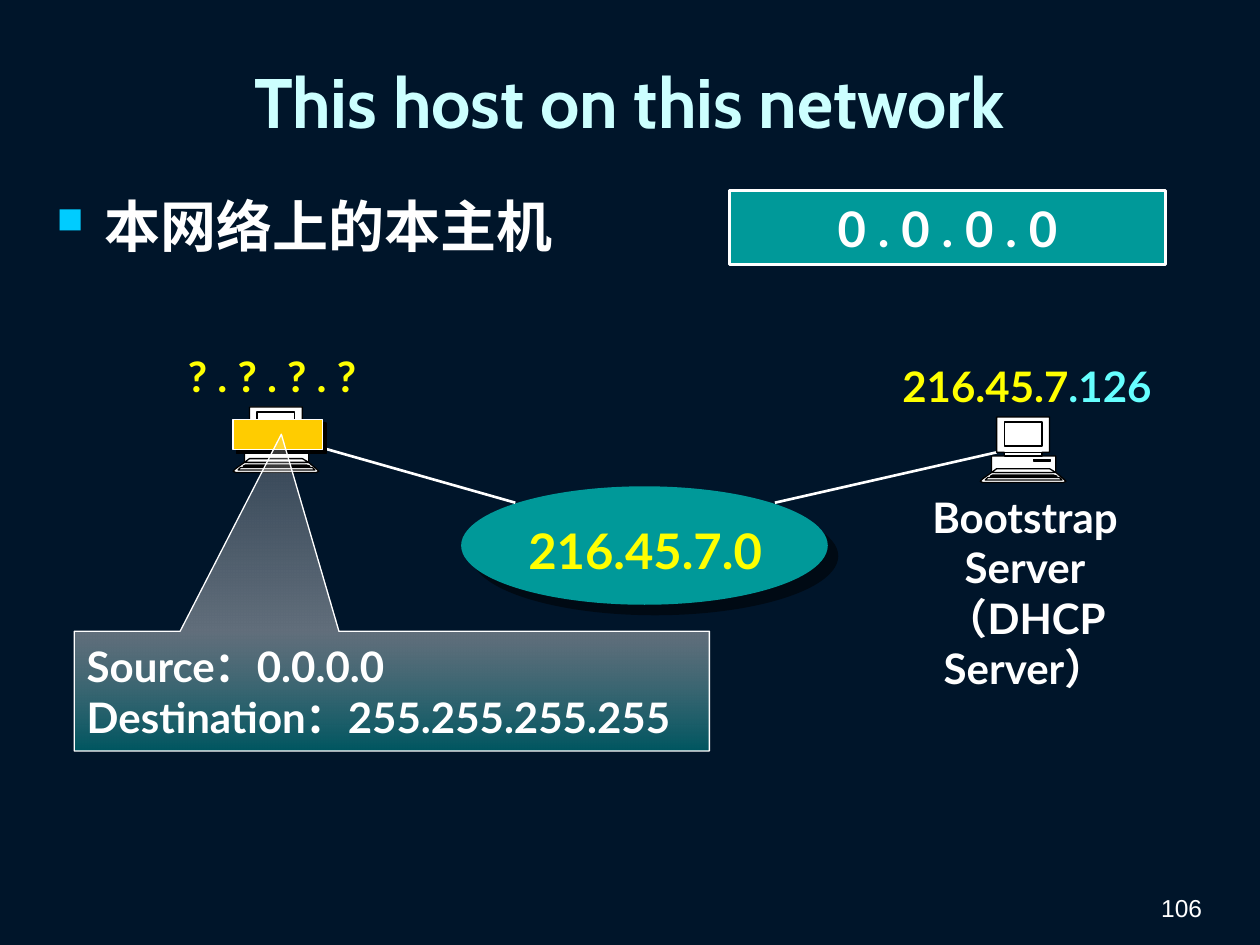
from copy import deepcopy
from lxml.etree import SubElement
from pptx import Presentation
from pptx.dml.color import RGBColor
from pptx.enum.shapes import MSO_CONNECTOR, MSO_SHAPE
from pptx.enum.text import MSO_ANCHOR, PP_ALIGN
from pptx.oxml.ns import qn
from pptx.util import Inches, Pt

COLORS = {"navy": "00152A", "ice": "CCFFFF", "white": "FFFFFF", "black": "000000",
          "teal": "009999", "yellow": "FFFF00", "aqua": "66FFFF", "sky": "00CCFF",
          "gold": "FFCC00"}
LEFT, CENTER, RIGHT = PP_ALIGN.LEFT, PP_ALIGN.CENTER, PP_ALIGN.RIGHT
TOP, MIDDLE, BOTTOM = MSO_ANCHOR.TOP, MSO_ANCHOR.MIDDLE, MSO_ANCHOR.BOTTOM

TITLE = [[("This host on this network", "ice")]]
TOPIC = [[("本网络上的本主机", "white")]]
ADDRESS = [[("0 . 0 . 0 . 0", "white")]]
NETWORK = [[("216.45.7.0", "yellow")]]
PACKET = [[("Source：0.0.0.0", "white")], [("Destination：255.255.255.255", "white")]]
LABELS = [
    ((0.98, 2.73, 2.36, 0.5), [[("? . ? . ? . ?", "yellow")]], 24),
    ((3.9, 4.08, 2.44, 0.57), NETWORK, 28),
    ((6.89, 2.81, 2.52, 0.5), [[("216.45.7", "yellow"), (".126", "aqua")]], 24),
]
SERVER = [[("Bootstrap Server", "white")], [("（DHCP Server）", "white")]]
LINKS = [((2.4, 3.51), (4.09, 3.99)), ((7.91, 3.59), (6.15, 3.99))]
COMPUTERS = [(1.85, 3.23), (7.78, 3.31)]
COMPUTER_PARTS = [
    [(66, 49), (60, 44), (60, 31), (49, 31), (49, 28), (55, 28), (55, 0), (13, 0),
     (13, 28), (19, 28), (19, 31), (9, 31), (9, 44), (2, 49), (0, 51), (2, 52),
     (66, 52), (68, 51)],
    [(57, 44), (55, 43), (14, 43), (12, 44)],
    [(61, 47), (58, 46), (10, 46), (8, 47)],
    [(65, 50), (63, 48), (6, 48), (4, 50)],
    [(60, 44), (55, 41), (13, 41), (9, 44)],
    [(42, 34), (42, 35), (56, 35), (56, 34)],
    [(19, 4), (19, 23), (49, 23), (49, 4)],
    [(19, 28), (49, 28), (49, 31), (19, 31)],
]


def rgb(name):
    return RGBColor.from_string(COLORS[name])


def write(sp, paras, size, font="Lato", align=CENTER, anchor=TOP, bold=True):
    tf = sp.text_frame
    tf.word_wrap = True
    tf.vertical_anchor = anchor
    for i, runs in enumerate(paras):
        p = tf.add_paragraph() if i else tf.paragraphs[0]
        p.alignment = align
        for text, color in runs:
            r = p.add_run()
            r.text = text
            r.font.name, r.font.size, r.font.bold = font, Pt(size), bold
            r.font.color.rgb = rgb(color)


def add_text(s, box, paras, size, **style):
    sp = s.shapes.add_textbox(*map(Inches, box))
    write(sp, paras, size, **style)
    return sp


def paint(sp, fill=None, line=None, width=0.75):
    sp.shadow.inherit = False
    if fill:
        sp.fill.solid()
        sp.fill.fore_color.rgb = rgb(fill)
    if line:
        sp.line.color.rgb = rgb(line)
        sp.line.width = Pt(width)
    else:
        sp.line.fill.background()


def add_box(s, kind, box, *look):
    sp = s.shapes.add_shape(kind, *map(Inches, box))
    paint(sp, *look)
    return sp


def add_alpha(color, percent):
    SubElement(color, qn("a:alpha"), val=str(percent * 1000))


def add_shadow(sp, distance, opacity):
    effects = sp._element.spPr.find(qn("a:effectLst"))
    shadow = SubElement(effects, qn("a:outerShdw"), blurRad="0", dist=str(Pt(distance)),
                        dir="2700000", algn="ctr", rotWithShape="0")
    add_alpha(SubElement(shadow, qn("a:srgbClr"), val=COLORS["black"]), opacity)


def add_computer(s, x, y):
    fb = s.shapes.build_freeform(*COMPUTER_PARTS[0][0], scale=Inches(0.01))
    for i, points in enumerate(COMPUTER_PARTS):
        if i:
            fb.move_to(*points[0])
        fb.add_line_segments(points[1:], close=True)
    sp = fb.convert_to_shape(Inches(x), Inches(y))
    paint(sp, "white", "black")
    part = sp._element.spPr.find(".//" + qn("a:path"))
    steps = list(part)
    for i, step in enumerate(steps):
        if i and step.tag == qn("a:moveTo"):
            following = deepcopy(part)
            for child in list(following):
                following.remove(child)
            part.addnext(following)
            part = following
        part.append(step)


def add_callout(s):
    sp = add_box(s, MSO_SHAPE.RECTANGULAR_CALLOUT, (0.59, 5.01, 5.04, 0.95), None, "white")
    sp.adjustments[0], sp.adjustments[1] = -0.174, -2.146
    sp.fill.gradient()
    sp.fill.gradient_angle = 270
    stops = zip(sp.fill.gradient_stops, [(0, "white", 20), (1, "teal", 50)])
    for stop, (position, color, opacity) in stops:
        stop.position = position
        stop.color.rgb = rgb(color)
    colors = sp._element.spPr.findall(".//" + qn("a:gs") + "/" + qn("a:srgbClr"))
    for color, opacity in zip(colors, (20, 50)):
        add_alpha(color, opacity)
    write(sp, PACKET, 24, align=LEFT, anchor=MIDDLE)


def add_bullet(p):
    pPr = p._p.get_or_add_pPr()
    pPr.set("marL", str(Inches(0.38)))
    pPr.set("indent", str(Inches(-0.38)))
    SubElement(SubElement(pPr, qn("a:buClr")), qn("a:srgbClr"), val=COLORS["sky"])
    SubElement(pPr, qn("a:buSzPct"), val="65000")
    SubElement(pPr, qn("a:buChar"), char="■")


def main():
    """Build the slide on the 0.0.0.0 address used before a host knows its own."""
    prs = Presentation()
    prs.slide_width, prs.slide_height = Inches(10), Inches(7.5)
    s = prs.slides.add_slide(prs.slide_layouts[5])
    s.background.fill.solid()
    s.background.fill.fore_color.rgb = rgb("navy")

    title = s.shapes.title
    title.left, title.top, title.width, title.height = map(Inches, (0.35, 0.13, 9.29, 1.34))
    write(title, TITLE, 40, font="Cabin", anchor=MIDDLE)
    add_text(s, (7.31, 6.9, 2.33, 0.47), [[("106", "white")]], 14,
             font="Arial", align=RIGHT, anchor=BOTTOM, bold=False)
    topic = add_text(s, (0.35, 1.47, 9.29, 5.43), TOPIC, 32, align=LEFT)
    add_bullet(topic.text_frame.paragraphs[0])

    network = add_box(s, MSO_SHAPE.OVAL, (3.66, 3.86, 2.91, 0.94), "teal")
    add_shadow(network, 8.5, 50)
    for box, paras, size in LABELS:
        add_text(s, box, paras, size)
    for start, end in LINKS:
        link = s.shapes.add_connector(MSO_CONNECTOR.STRAIGHT, *map(Inches, start + end))
        link.line.color.rgb = rgb("white")
        link.line.width = Pt(1.5)
        SubElement(link._element.spPr, qn("a:effectLst"))
    for x, y in COMPUTERS:
        add_computer(s, x, y)

    address = add_box(s, MSO_SHAPE.RECTANGLE, (5.79, 1.51, 3.46, 0.59), "teal", "white", 1.5)
    write(address, ADDRESS, 28, anchor=MIDDLE)
    packet = add_box(s, MSO_SHAPE.RECTANGLE, (1.85, 3.33, 0.71, 0.24), "gold", "white")
    add_shadow(packet, 2.8, 100)
    add_callout(s)
    add_text(s, (6.79, 3.85, 2.69, 0.9), SERVER, 24)
    prs.save("out.pptx")


if __name__ == "__main__":
    main()
